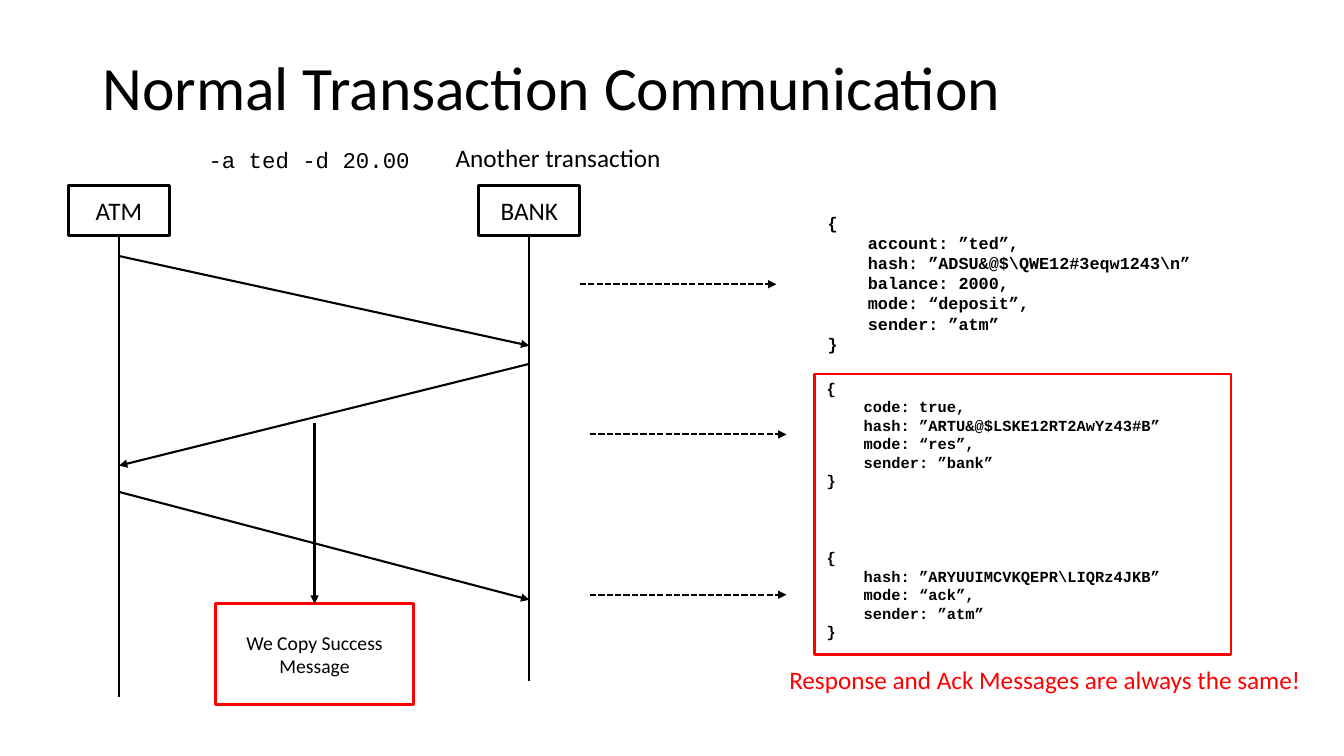
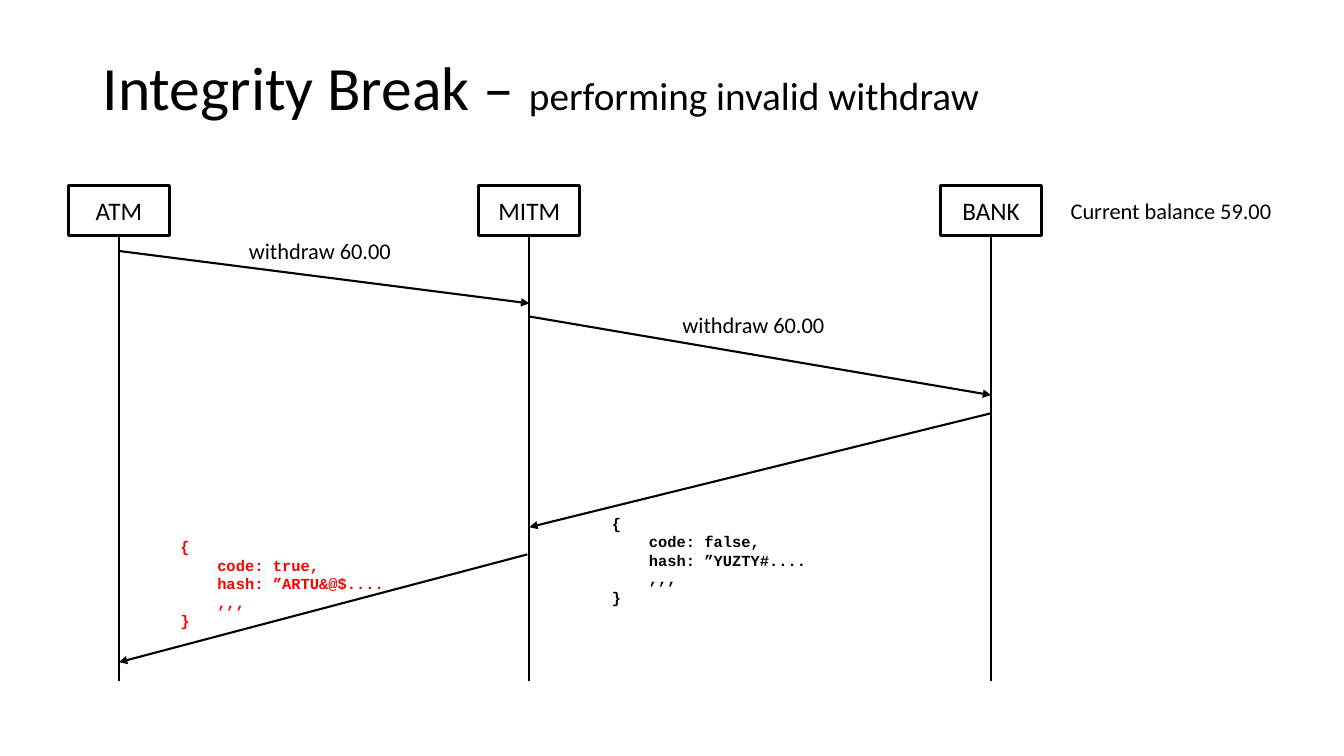
from dataclasses import dataclass

from lxml.etree import SubElement
from pptx import Presentation
from pptx.dml.color import RGBColor
from pptx.enum.dml import MSO_LINE_DASH_STYLE as Dash
from pptx.enum.shapes import MSO_CONNECTOR as Connector, MSO_SHAPE as Preset
from pptx.enum.text import MSO_ANCHOR as Anchor, PP_ALIGN as Align
from pptx.oxml.ns import qn
from pptx.shapes.autoshape import Shape
from pptx.shapes.connector import Connector as Line
from pptx.slide import Slide
from pptx.text.text import _Paragraph as Paragraph
from pptx.util import Inches, Pt

COLORS = {"ink": "000000", "alert": "FF0000", "paper": "FFFFFF"}
SANS, MONO = "Calibri", "Courier New"
ATM_X, MIDDLE_X, RIGHT_X = 1.18, 5.25, 9.83
HEAD_TOP, HEAD_WIDTH, HEAD_HEIGHT = 1.84, 1, 0.5
LIFELINE_END = 6.76


@dataclass
class Party:
    name: str
    x: float
    end: float = LIFELINE_END


@dataclass
class Arrow:
    x1: float
    y1: float
    x2: float
    y2: float
    dashed: bool = False


@dataclass
class Label:
    text: str
    left: float
    top: float
    width: float
    size: int = 16
    font: str = SANS
    color: str = "ink"


@dataclass
class Payload:
    """A braced message whose fields are indented by four characters."""
    fields: list[str]
    left: float
    top: float
    width: float
    size: int = 11
    color: str = "ink"


def rgb(color: str) -> RGBColor:
    return RGBColor.from_string(COLORS[color])


def add_run(paragraph: Paragraph, text: str, size: int, font: str = SANS,
            color: str = "ink", bold: bool = False) -> None:
    run = paragraph.add_run()
    run.text = text
    run.font.size = Pt(size)
    run.font.name = font
    run.font.bold = bold
    run.font.color.rgb = rgb(color)


def add_text_box(slide: Slide, left: float, top: float, width: float, height: float) -> Shape:
    box = slide.shapes.add_textbox(Inches(left), Inches(top), Inches(width), Inches(height))
    box.text_frame.word_wrap = True
    return box


def add_title(slide: Slide, *parts: tuple[str, int]) -> None:
    frame = add_text_box(slide, 0.92, 0.4, 11.5, 0.99).text_frame
    frame.vertical_anchor = Anchor.MIDDLE
    frame.paragraphs[0].line_spacing = 0.9
    for text, size in parts:
        add_run(frame.paragraphs[0], text, size)


def add_label(slide: Slide, label: Label) -> None:
    box = add_text_box(slide, label.left, label.top, label.width, 0.4)
    add_run(box.text_frame.paragraphs[0], label.text, label.size, label.font, label.color)


def add_payload(slide: Slide, payload: Payload) -> None:
    lines = ["{", *payload.fields, "}"]
    height = 0.1 + len(lines) * payload.size / 64
    frame = add_text_box(slide, payload.left, payload.top, payload.width, height).text_frame
    for index, line in enumerate(lines):
        paragraph = frame.add_paragraph() if index else frame.paragraphs[0]
        if 0 < index < len(lines) - 1:
            paragraph._p.get_or_add_pPr().set("marL", str(Pt(4 * 0.6 * payload.size)))
        add_run(paragraph, line, payload.size, MONO, payload.color, bold=True)


def add_box(slide: Slide, left: float, top: float, width: float, height: float,
            color: str = "ink", text: str = "", size: int = 18, filled: bool = True) -> Shape:
    box = slide.shapes.add_shape(Preset.RECTANGLE, Inches(left), Inches(top),
                                 Inches(width), Inches(height))
    box.shadow.inherit = False
    if filled:
        box.fill.solid()
        box.fill.fore_color.rgb = rgb("paper")
    else:
        box.fill.background()
    box.line.color.rgb = rgb(color)
    box.line.width = Pt(2)
    if text:
        frame = box.text_frame
        frame.word_wrap = True
        frame.vertical_anchor = Anchor.MIDDLE
        frame.paragraphs[0].alignment = Align.CENTER
        add_run(frame.paragraphs[0], text, size)
    return box


def add_line(slide: Slide, x1: float, y1: float, x2: float, y2: float) -> Line:
    line = slide.shapes.add_connector(Connector.STRAIGHT, Inches(x1), Inches(y1),
                                      Inches(x2), Inches(y2))
    line.line.color.rgb = rgb("ink")
    line.line.width = Pt(1.5)
    SubElement(line._element.spPr, qn("a:effectLst"))
    return line


def add_arrow(slide: Slide, arrow: Arrow) -> Line:
    line = add_line(slide, arrow.x1, arrow.y1, arrow.x2, arrow.y2)
    if arrow.dashed:
        line.line.dash_style = Dash.SQUARE_DOT
    SubElement(line.line._get_or_add_ln(), qn("a:tailEnd"), type="triangle")
    return line


def add_party(slide: Slide, party: Party) -> None:
    """Draw a participant's header with its lifeline below."""
    head = add_box(slide, party.x - HEAD_WIDTH / 2, HEAD_TOP, HEAD_WIDTH, HEAD_HEIGHT,
                   text=party.name)
    lifeline = add_line(slide, party.x, HEAD_TOP + HEAD_HEIGHT, party.x, party.end)
    lifeline.begin_connect(head, 2)


def add_sequence(slide: Slide, parties: list[Party], arrows: list[Arrow],
                 labels: list[Label], payloads: list[Payload]) -> None:
    for party in parties:
        add_party(slide, party)
    for arrow in arrows:
        add_arrow(slide, arrow)
    for label in labels:
        add_label(slide, label)
    for payload in payloads:
        add_payload(slide, payload)


def build_normal_transaction(slide: Slide) -> None:
    add_title(slide, ("Normal Transaction Communication", 44))
    pointers = [(5.75, 2.82), (5.85, 4.31), (5.85, 5.9)]
    add_sequence(
        slide,
        [Party("ATM", ATM_X, 6.91), Party("BANK", MIDDLE_X)],
        [
            Arrow(ATM_X, 2.54, MIDDLE_X, 3.43),
            Arrow(MIDDLE_X, 3.61, ATM_X, 4.62),
            Arrow(ATM_X, 4.88, MIDDLE_X, 5.95),
            *(Arrow(x, y, x + 1.95, y, dashed=True) for x, y in pointers),
        ],
        [
            Label("-a ted -d 20.00", 1.97, 1.4, 2.48, font=MONO),
            Label("Another transaction", 4.42, 1.36, 2.4, 18),
            Label("Response and Ack Messages are always the same!", 7.73, 6.54, 5.5, 18,
                  color="alert"),
        ],
        [
            Payload(["account: ”ted”,", "hash: ”ADSU&@$\\QWE12#3eqw1243\\n”",
                     "balance: 2000,", "mode: “deposit”,", "sender: ”atm”"],
                    8.11, 2.06, 4.2, 12),
            Payload(["code: true,", "hash: ”ARTU&@$LSKE12RT2AwYz43#B”",
                     "mode: “res”,", "sender: ”bank”"], 8.1, 3.71, 4),
            Payload(["hash: ”ARYUUIMCVKQEPR\\LIQRz4JKB”", "mode: “ack”,",
                     "sender: ”atm”"], 8.1, 5.39, 4),
        ],
    )
    add_box(slide, 8.08, 3.71, 4.13, 2.78, "alert", filled=False)
    copy_note = add_box(slide, 2.14, 5.99, 1.96, 1, "alert", "We Copy Success Message", 14)
    add_arrow(slide, Arrow(3.12, 4.2, 3.12, 5.99)).end_connect(copy_note, 0)


def build_integrity_break(slide: Slide) -> None:
    add_title(slide, ("Integrity Break – ", 44), ("performing invalid withdraw", 28))
    add_sequence(
        slide,
        [Party("ATM", ATM_X), Party("MITM", MIDDLE_X), Party("BANK", RIGHT_X)],
        [
            Arrow(ATM_X, 2.49, MIDDLE_X, 3.01),
            Arrow(MIDDLE_X, 3.14, RIGHT_X, 3.92),
            Arrow(RIGHT_X, 4.1, MIDDLE_X, 5.23),
            Arrow(5.23, 5.5, ATM_X, 6.57),
        ],
        [
            Label("withdraw 60.00", 2.37, 2.3, 1.92),
            Label("withdraw 60.00", 6.67, 3.04, 1.92),
            Label("Current balance 59.00", 10.52, 1.91, 2.68),
        ],
        [
            Payload(["code: true,", "hash: ”ARTU&@$....", ",,,"], 1.69, 5.28, 2.4,
                    color="alert"),
            Payload(["code: false,", "hash: ”YUZTY#....", ",,,"], 5.97, 5.05, 2.4),
        ],
    )


def main() -> None:
    deck = Presentation()
    deck.slide_width, deck.slide_height = Inches(13.33), Inches(7.5)
    blank = deck.slide_layouts[6]
    for build in (build_normal_transaction, build_integrity_break):
        build(deck.slides.add_slide(blank))
    deck.save("out.pptx")


if __name__ == "__main__":
    main()
